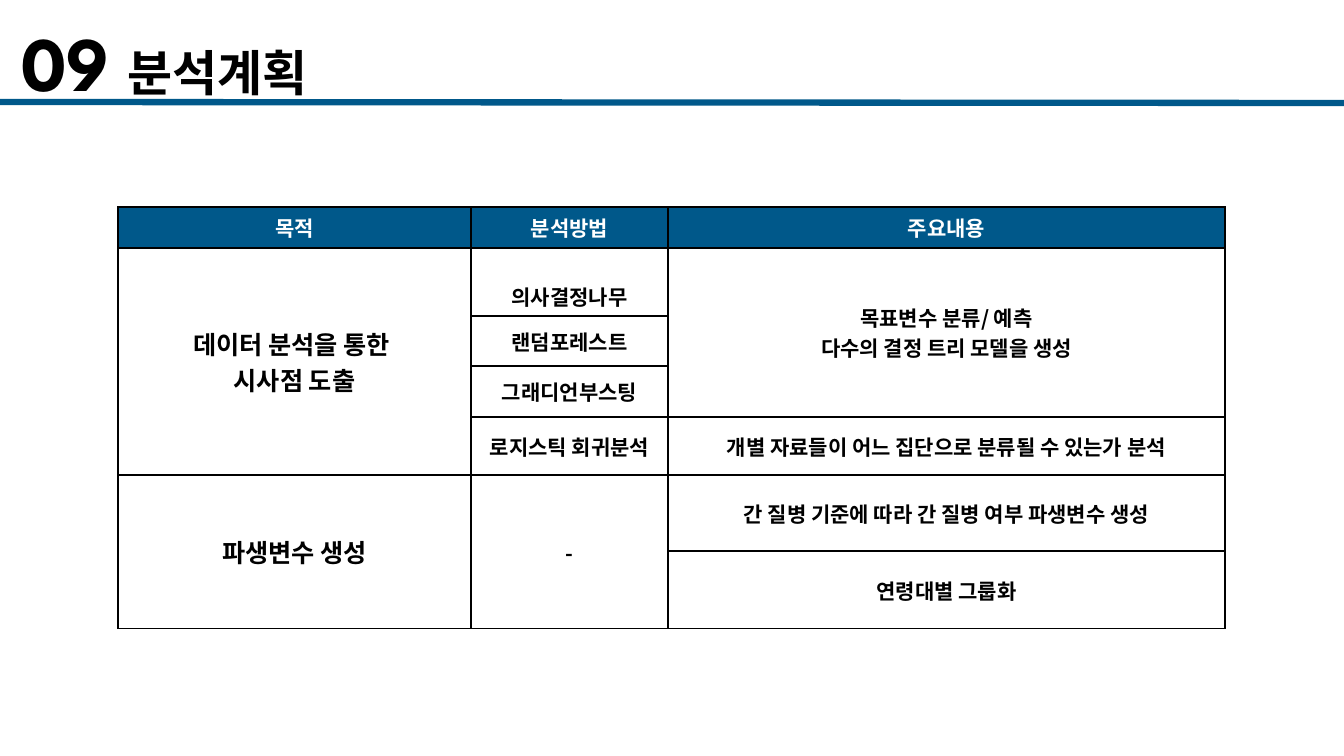
"""Build the analysis plan slide: a ruled title above a merged table."""
from lxml import etree
from pptx import Presentation
from pptx.dml.color import RGBColor
from pptx.enum.shapes import MSO_CONNECTOR
from pptx.enum.text import MSO_ANCHOR, PP_ALIGN
from pptx.oxml.ns import qn
from pptx.util import Pt

LEFT, CENTER = PP_ALIGN.LEFT, PP_ALIGN.CENTER
MIDDLE, BOTTOM = MSO_ANCHOR.MIDDLE, MSO_ANCHOR.BOTTOM
STRAIGHT = MSO_CONNECTOR.STRAIGHT

NAVY = RGBColor(0x00, 0x58, 0x8A)
BLACK = RGBColor(0x00, 0x00, 0x00)
WHITE = RGBColor(0xFF, 0xFF, 0xFF)
LATIN, KOREAN = "League Spartan", "Noto Sans CJK KR"

TITLE = [("09", 55), (" ", 46.7), ("분석계획", 35)]
HEADINGS = ["목적", "분석방법", "주요내용"]
# None continues the cell above
PLAN = [
    ["데이터 분석을 통한 \n시사점 도출", "의사결정나무", "목표변수 분류/ 예측\n다수의 결정 트리 모델을 생성"],
    [None, "랜덤포레스트", None],
    [None, "그래디언부스팅", None],
    [None, "로지스틱 회귀분석", "개별 자료들이 어느 집단으로 분류될 수 있는가 분석"],
    ["파생변수 생성", "-", "간 질병 기준에 따라 간 질병 여부 파생변수 생성"],
    [None, None, "연령대별 그룹화"],
]
PURPOSE_SIZE, BODY_SIZE = 18, 15

SLIDE_W, SLIDE_H = 1344, 756
TITLE_BOX = (8, 20, 1277, 82)
RULE = (0, 102, SLIDE_W, 103)
TABLE_LEFT, TABLE_TOP = 118, 207
COLUMNS = [353, 197, 557]
ROWS = [41, 68, 50, 51, 58, 76, 78]


def px(length):
    return round(length * 914400 / 100.8)


def write(frame, lines, *, color=BLACK, latin=KOREAN, align=CENTER):
    for number, runs in enumerate(lines):
        paragraph = frame.add_paragraph() if number else frame.paragraphs[0]
        paragraph.alignment = align
        for text, size in runs:
            run = paragraph.add_run()
            run.text = text
            run.font.size = Pt(size)
            run.font.bold = True
            run.font.name = latin
            run.font.color.rgb = color
            east_asian = etree.SubElement(run.font._element, qn("a:ea"))
            east_asian.set("typeface", KOREAN)


def set_margins(holder, side, end):
    holder.margin_left = holder.margin_right = px(side)
    holder.margin_top = holder.margin_bottom = px(end)


def style_cell(cell, fill):
    properties = cell._tc.get_or_add_tcPr()
    for edge in ("lnL", "lnR", "lnT", "lnB"):
        line = etree.SubElement(properties, qn(f"a:{edge}"), w=str(Pt(1)))
        solid = etree.SubElement(line, qn("a:solidFill"))
        etree.SubElement(solid, qn("a:srgbClr"), val=str(BLACK))
    cell.fill.solid()
    cell.fill.fore_color.rgb = fill
    cell.vertical_anchor = MIDDLE
    set_margins(cell, 7, 4)


def add_title(slide):
    title = slide.shapes.title
    title.left, title.top, title.width, title.height = map(px, TITLE_BOX)
    frame = title.text_frame
    frame.word_wrap = True
    frame.vertical_anchor = MIDDLE
    set_margins(frame, 13, 7)
    write(frame, [TITLE], latin=LATIN, align=LEFT)


def add_rule(slide):
    rule = slide.shapes.add_connector(STRAIGHT, *map(px, RULE))
    rule.line.color.rgb = NAVY
    rule.line.width = Pt(4.5)
    etree.SubElement(rule._element.spPr, qn("a:effectLst"))


def add_plan(slide):
    content = [HEADINGS] + PLAN
    plan = slide.shapes.add_table(
        len(ROWS), len(COLUMNS), px(TABLE_LEFT), px(TABLE_TOP),
        px(sum(COLUMNS)), px(sum(ROWS))).table
    plan.first_row = plan.horz_banding = False
    for column, width in zip(plan.columns, COLUMNS):
        column.width = px(width)
    for row, height in zip(plan.rows, ROWS):
        row.height = px(height)

    for r, entries in enumerate(content):
        for c, entry in enumerate(entries):
            cell = plan.cell(r, c)
            style_cell(cell, WHITE if r else NAVY)
            if entry is None:
                continue
            last = r
            while last + 1 < len(content) and content[last + 1][c] is None:
                last += 1
            if last > r:
                cell.merge(plan.cell(last, c))
            size = PURPOSE_SIZE if r and c == 0 else BODY_SIZE
            lines = [[(line, size)] for line in entry.split("\n")]
            write(cell.text_frame, lines, color=BLACK if r else WHITE)
    plan.cell(1, 1).vertical_anchor = BOTTOM


def main():
    deck = Presentation()
    deck.slide_width, deck.slide_height = px(SLIDE_W), px(SLIDE_H)
    slide = deck.slides.add_slide(deck.slide_layouts[5])
    add_title(slide)
    add_rule(slide)
    add_plan(slide)
    deck.save("out.pptx")


if __name__ == "__main__":
    main()
